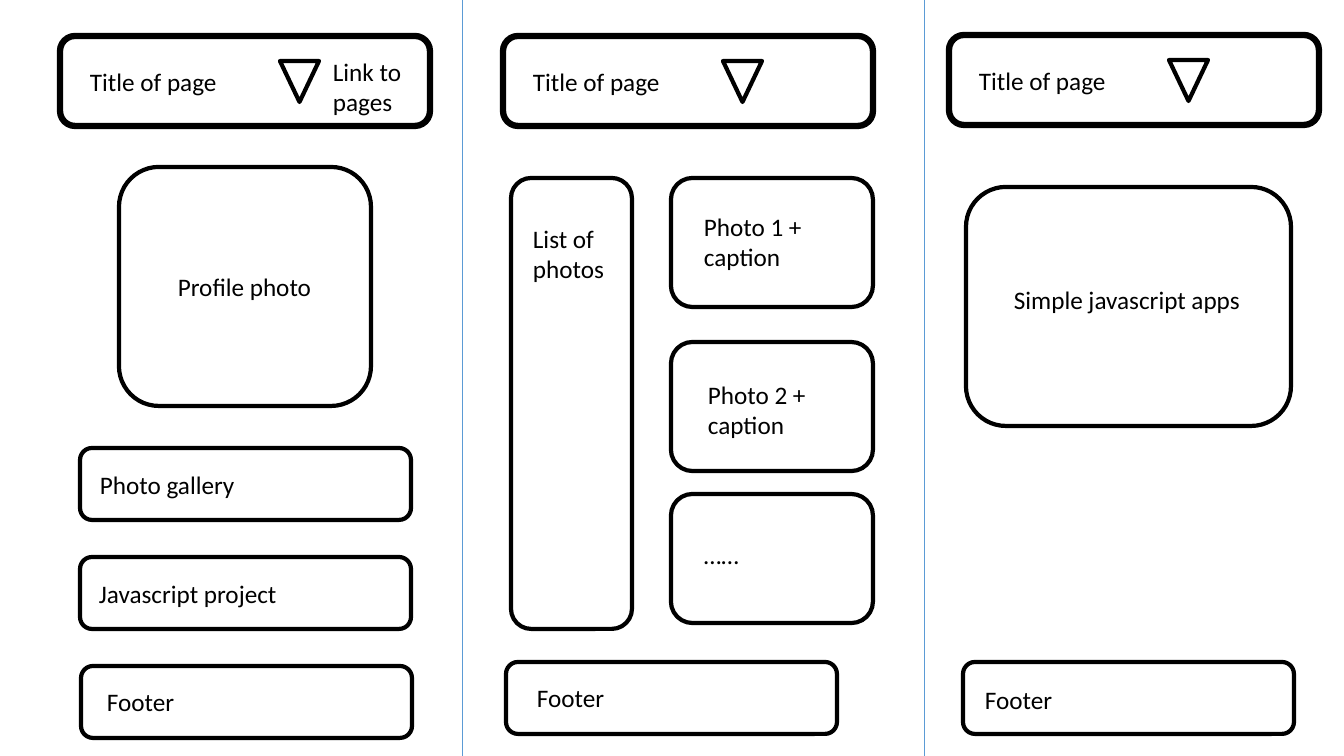
import pptx
import pptx.util
import pptx.dml.color
import pptx.enum.shapes
import pptx.enum.text
import pptx.oxml.ns
import lxml.etree

PX = 914400 / 100.8
WIDTH, HEIGHT = 1344, 756
COLUMN = WIDTH / 3
FONT = "Calibri"
BLACK = pptx.dml.color.RGBColor(0x00, 0x00, 0x00)
BLUE = pptx.dml.color.RGBColor(0x5B, 0x9B, 0xD5)
SHAPE = pptx.enum.shapes.MSO_SHAPE


def emu(*lengths):
    return [pptx.util.Emu(round(n * PX)) for n in lengths]


def add_outline(slide, box, kind=SHAPE.ROUNDED_RECTANGLE, weight=3):
    sp = slide.shapes.add_shape(kind, *emu(*box))
    sp.shadow.inherit = False
    sp.fill.background()
    sp.line.color.rgb = BLACK
    sp.line.width = pptx.util.Pt(weight)
    return sp


def add_label(slide, text, box, wrap=False):
    sp = slide.shapes.add_textbox(*emu(*box))
    tf = sp.text_frame
    tf.text = text
    tf.word_wrap = wrap
    tf.auto_size = pptx.enum.text.MSO_AUTO_SIZE.SHAPE_TO_FIT_TEXT
    r = tf.paragraphs[0].runs[0]
    r.font.name = FONT
    r.font.size = pptx.util.Pt(18)
    r.font.color.rgb = BLACK


def add_divider(slide, x):
    line = slide.shapes.add_connector(
        pptx.enum.shapes.MSO_CONNECTOR.STRAIGHT, *emu(x, 0, x, HEIGHT))
    line.line.color.rgb = BLUE
    line.line.width = pptx.util.Pt(0.5)
    lxml.etree.SubElement(line._element.spPr, pptx.oxml.ns.qn("a:effectLst"))


def add_header(slide, x, y):
    add_outline(slide, (x, y, 370, 90), weight=4.5)
    add_label(slide, "Title of page", (x + 20, y + 25, 148, 40))
    menu = add_outline(slide, (x + 220, y + 25, 39, 41), SHAPE.ISOSCELES_TRIANGLE)
    menu.rotation = 180


def add_bar(slide, text, x, y, dx, dy, text_width):
    """Wide bar with its label inset by dx, dy."""
    add_outline(slide, (x, y, 331, 72))
    add_label(slide, text, (x + dx, y + dy, text_width, 40))


def add_home_page(slide, x, y):
    add_header(slide, x + 60, y + 36)
    add_label(slide, "Link to pages", (x + 323, y + 51, 123, 102), wrap=True)
    # Profile photo
    add_outline(slide, (x + 119, y + 167, 252, 239))
    add_label(slide, "Profile photo", (x + 168, y + 266, 155, 40))
    # Links and footer
    add_bar(slide, "Photo gallery", x + 80, y + 448, 10, 16, 156)
    add_bar(slide, "Javascript project", x + 80, y + 557, 9, 16, 200)
    add_bar(slide, "Footer", x + 81, y + 666, 16, 15, 89)


def add_gallery_page(slide, x, y):
    add_header(slide, x + 55, y + 36)
    # Photo list
    add_outline(slide, (x + 63, y + 178, 121, 451))
    add_label(slide, "List of photos", (x + 75, y + 218, 98, 72), wrap=True)
    # Photo cards: text, top, label inset, label size
    cards = [("Photo 1 + caption", 178, 23, 28, 135, 72),
             ("Photo 2 + caption", 342, 27, 32, 135, 72),
             ("……", 494, 23, 40, 56, 40)]
    for text, top, dx, dy, w, h in cards:
        add_outline(slide, (x + 223, y + top, 202, 129))
        add_label(slide, text, (x + 223 + dx, y + top + dy, w, h), wrap=h > 40)
    add_bar(slide, "Footer", x + 58, y + 662, 21, 15, 89)


def add_apps_page(slide, x, y):
    add_header(slide, x + 53, y + 35)
    # Apps panel
    add_outline(slide, (x + 70, y + 187, 325, 239))
    add_label(slide, "Simple javascript apps", (x + 108, y + 279, 249, 40))
    add_bar(slide, "Footer", x + 67, y + 662, 12, 17, 89)


prs = pptx.Presentation()
prs.slide_width, prs.slide_height = emu(WIDTH, HEIGHT)
slide = prs.slides.add_slide(prs.slide_layouts[6])

# Page wireframes, side by side
for i, add_page in enumerate((add_home_page, add_gallery_page, add_apps_page)):
    add_page(slide, i * COLUMN, 0)

# Column dividers
for x in (462, 924):
    add_divider(slide, x)

prs.save("out.pptx")
